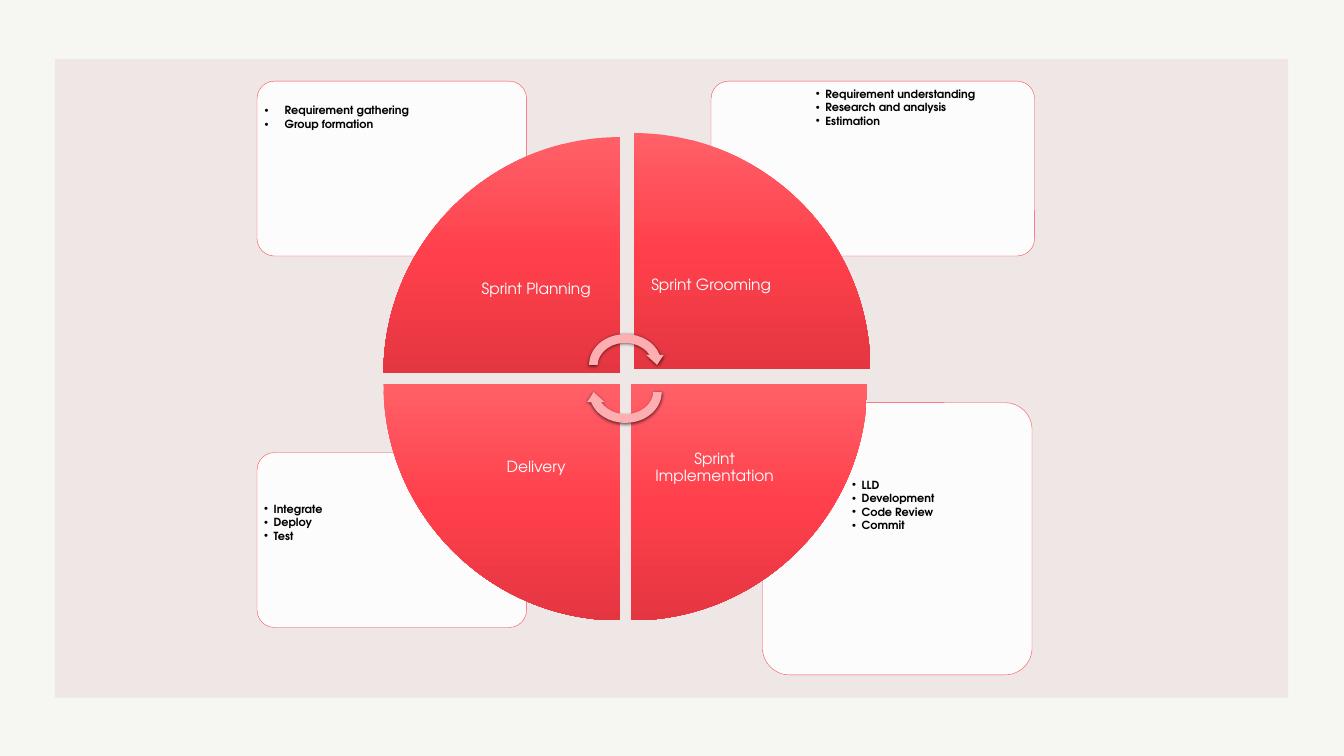
from dataclasses import dataclass
from math import cos, radians, sin

from lxml import etree
from pptx import Presentation
from pptx.dml.color import RGBColor
from pptx.enum.shapes import MSO_SHAPE
from pptx.enum.text import MSO_ANCHOR, MSO_AUTO_SIZE, PP_ALIGN
from pptx.oxml import parse_xml
from pptx.oxml.ns import nsdecls, qn
from pptx.util import Inches, Pt

RECT = MSO_SHAPE.RECTANGLE
ROUND = MSO_SHAPE.ROUNDED_RECTANGLE
TOP = MSO_ANCHOR.TOP
MIDDLE = MSO_ANCHOR.MIDDLE
LEFT = PP_ALIGN.LEFT
CENTER = PP_ALIGN.CENTER
FIXED = MSO_AUTO_SIZE.NONE

FONT = "TeX Gyre Adventor"
RADIUS = 4.69
BEND = 0.55
COLORS = {
    "page": "F6F7F2", "panel": "EFE7E6", "card": "FFFFFF", "edge": "FE414D",
    "light": "FF6068", "mid": "FF404C", "dark": "E43641", "arrow": "FEAEB0",
    "ink": "000000", "label": "FFFFFF",
}


@dataclass
class Box:
    left: float
    top: float
    width: float
    height: float

    def emu(self) -> list:
        return [Inches(v) for v in (self.left, self.top, self.width, self.height)]


@dataclass
class Card:
    frame: Box
    text: Box
    items: tuple
    indent: float = 0.19
    gap: int = 2


@dataclass
class Wedge:
    x: float
    y: float
    start: int
    label: str
    text: Box


CARDS = [
    Card(Box(15.13, 7.99, 5.35, 5.4), Box(16.84, 9.45, 3.53, 2.35),
         ("LLD", "Development", "Code Review", "Commit")),
    Card(Box(5.1, 8.98, 5.35, 3.47), Box(5.17, 9.92, 3.59, 1.82),
         ("Integrate", "Deploy", "Test")),
    Card(Box(14.11, 1.61, 6.42, 3.47), Box(16.12, 1.69, 4.34, 2.73),
         ("Requirement understanding", "Research and analysis", "Estimation")),
    Card(Box(5.1, 1.61, 5.35, 3.47), Box(5.18, 2.01, 5.2, 1.82),
         ("Requirement gathering", "Group formation"), 0.4, 3),
]
WEDGES = [
    Wedge(12.3, 7.41, 180, "Sprint Planning", Box(8.98, 4.76, 3.32, 1.97)),
    Wedge(12.58, 7.33, 90, "Sprint Grooming", Box(12.45, 4.69, 3.32, 1.97)),
    Wedge(12.52, 7.62, 0, "Sprint Implementation", Box(12.52, 7.99, 3.32, 2.59)),
    Wedge(12.3, 7.62, -90, "Delivery", Box(8.98, 8.61, 3.32, 1.34)),
]
ARROW = [
    (-0.72, 0), (-0.72, -0.34), (-0.4, -0.61), (0, -0.61),
    (0.31, -0.61), (0.58, -0.45), (0.68, -0.2),
    (0.76, -0.2), (0.63, 0), (0.41, -0.2), (0.48, -0.2),
    (0.34, -0.41), (0.02, -0.5), (-0.25, -0.39),
    (-0.43, -0.31), (-0.55, -0.16), (-0.55, 0),
]


def rgb(name: str) -> RGBColor:
    return RGBColor.from_string(COLORS[name])


def outline(slide, x: float, y: float, points: list, marks: str):
    nodes = [(Inches(x + dx), Inches(y + dy)) for dx, dy in points]
    pen = slide.shapes.build_freeform(*nodes[0])
    pen.add_line_segments(nodes[1:], close=True)
    shape = pen.convert_to_shape()
    shape.shadow.inherit = False
    shape.line.fill.background()
    track = next(shape._element.spPr.iter(qn("a:path")))
    lines = iter(track.findall(qn("a:lnTo")))
    for mark in marks:
        line = next(lines)
        if mark == "C":
            curve = etree.Element(qn("a:cubicBezTo"))
            line.addprevious(curve)
            for part in (line, next(lines), next(lines)):
                curve.append(part[0])
                track.remove(part)
    return shape


def block(slide, kind, box: Box, fill: str):
    shape = slide.shapes.add_shape(kind, *box.emu())
    shape.shadow.inherit = False
    shape.fill.solid()
    shape.fill.fore_color.rgb = rgb(fill)
    shape.line.fill.background()
    return shape


def set_frame(frame, inset: float, anchor) -> None:
    frame.word_wrap = True
    frame.auto_size = FIXED
    frame.vertical_anchor = anchor
    frame.margin_left = frame.margin_right = Inches(inset)
    frame.margin_top = frame.margin_bottom = Inches(inset)


def write(para, text: str, size: int, color: str, bold: bool, align) -> None:
    para.alignment = align
    para.line_spacing = 0.9
    run = para.add_run()
    run.text = text
    run.font.name = FONT
    run.font.size = Pt(size)
    run.font.bold = bold
    run.font.color.rgb = rgb(color)


def add_card(slide, card: Card, holder) -> None:
    shape = block(slide, ROUND, card.frame, "card")
    shape.adjustments[0] = 0.1
    shape.line.color.rgb = rgb("edge")
    shape.line.width = Pt(0.5)
    tint = shape._element.spPr.find(qn("a:solidFill"))[0]
    etree.SubElement(tint, qn("a:alpha"), val="90000")

    slide.shapes._spTree.append(holder._element)
    holder.left, holder.top, holder.width, holder.height = card.text.emu()
    frame = holder.text_frame
    set_frame(frame, 0.07, TOP)
    for i, item in enumerate(card.items):
        para = frame.paragraphs[0] if i == 0 else frame.add_paragraph()
        props = para._p.get_or_add_pPr()
        props.set("marL", str(Inches(card.indent)))
        props.set("indent", str(-Inches(card.indent)))
        etree.SubElement(props, qn("a:buFont"), typeface="Arial")
        etree.SubElement(props, qn("a:buChar"), char="•")
        para.space_before = Pt(card.gap if i else 0)
        write(para, item, 16, "ink", True, LEFT)


def add_wedge(slide, wedge: Wedge) -> None:
    turn = radians(wedge.start)
    ax, ay = RADIUS * cos(turn), -RADIUS * sin(turn)
    bx, by = ay, -ax
    bx, by = -bx, -by
    points = [(ax, ay), (ax + BEND * bx, ay + BEND * by),
              (bx + BEND * ax, by + BEND * ay), (bx, by), (0, 0)]
    shape = outline(slide, wedge.x, wedge.y, points, "CL")
    shape.fill.gradient()
    shape.fill.gradient_angle = 270
    stops = shape._element.spPr.find(qn("a:gradFill")).find(qn("a:gsLst"))
    for stop in list(stops):
        stops.remove(stop)
    for i, name in enumerate(("light", "mid", "dark")):
        stop = etree.SubElement(stops, qn("a:gs"), pos=str(i * 50000))
        etree.SubElement(stop, qn("a:srgbClr"), val=COLORS[name])

    frame = slide.shapes.add_textbox(*wedge.text.emu()).text_frame
    set_frame(frame, 0.17, MIDDLE)
    write(frame.paragraphs[0], wedge.label, 22, "label", False, CENTER)


def add_arrow(slide, y: float, sign: int) -> None:
    points = [(sign * dx, sign * dy) for dx, dy in ARROW]
    shape = outline(slide, 12.41, y, points, "CCLLLLCC")
    shape.fill.solid()
    shape.fill.fore_color.rgb = rgb("arrow")
    shape._element.spPr.find(qn("a:effectLst")).append(parse_xml(
        f'<a:outerShdw {nsdecls("a")} blurRad="{Pt(5)}" dist="{Pt(1.5)}" '
        f'dir="5400000" rotWithShape="0"><a:srgbClr val="{COLORS["ink"]}">'
        '<a:alpha val="63000"/></a:srgbClr></a:outerShdw>'))


def main() -> None:
    deck = Presentation()
    deck.slide_width = Inches(26.67)
    deck.slide_height = Inches(15)
    slide = deck.slides.add_slide(deck.slide_layouts[4])
    slide.background.fill.solid()
    slide.background.fill.fore_color.rgb = rgb("page")
    title, *lists = list(slide.placeholders)
    title._element.getparent().remove(title._element)
    block(slide, RECT, Box(1.09, 1.17, 24.47, 12.67), "panel")
    for card, holder in zip(CARDS, lists):
        add_card(slide, card, holder)
    for wedge in WEDGES:
        add_wedge(slide, wedge)
    for y, sign in ((7.24, 1), (7.78, -1)):
        add_arrow(slide, y, sign)
    deck.save("out.pptx")


if __name__ == "__main__":
    main()
